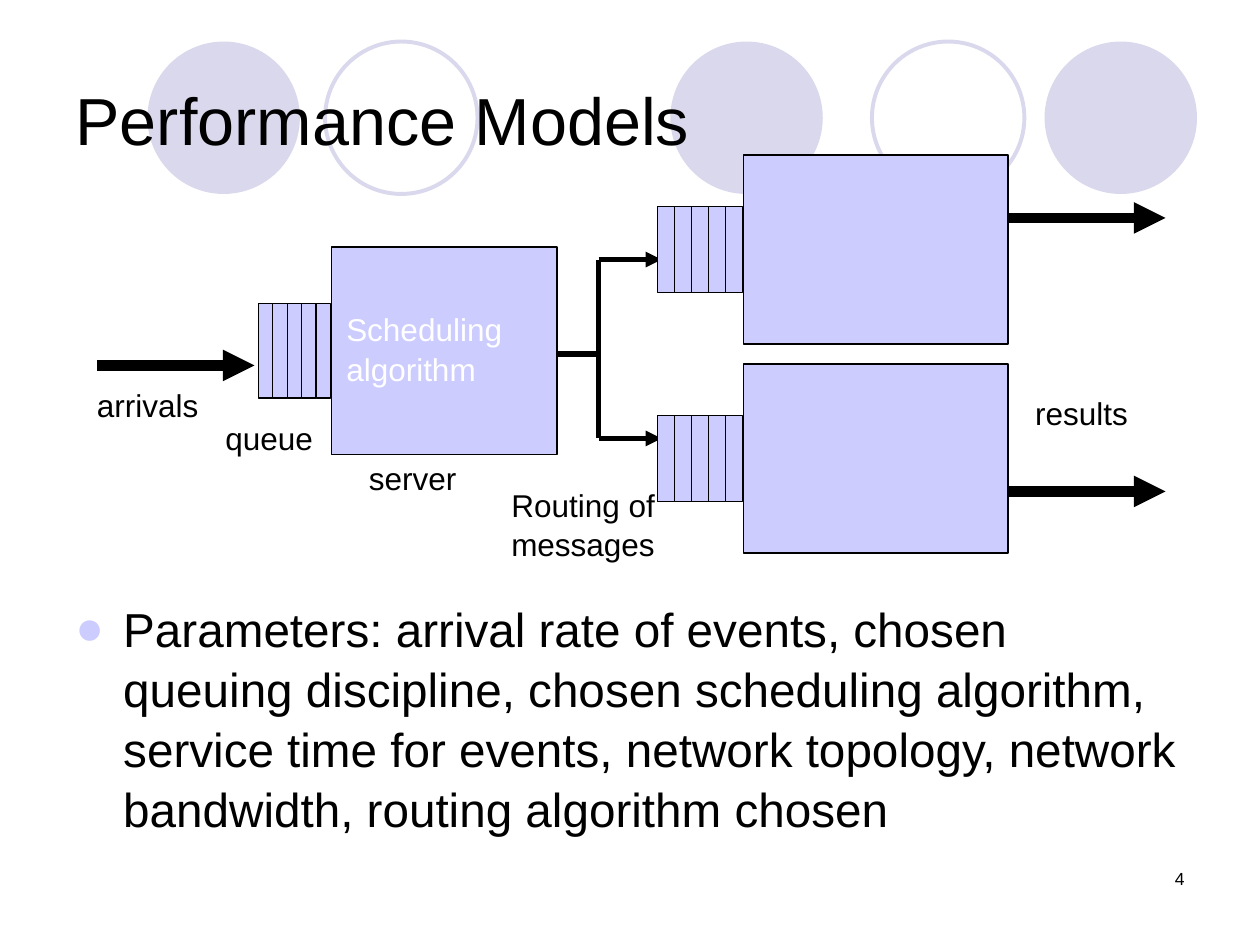
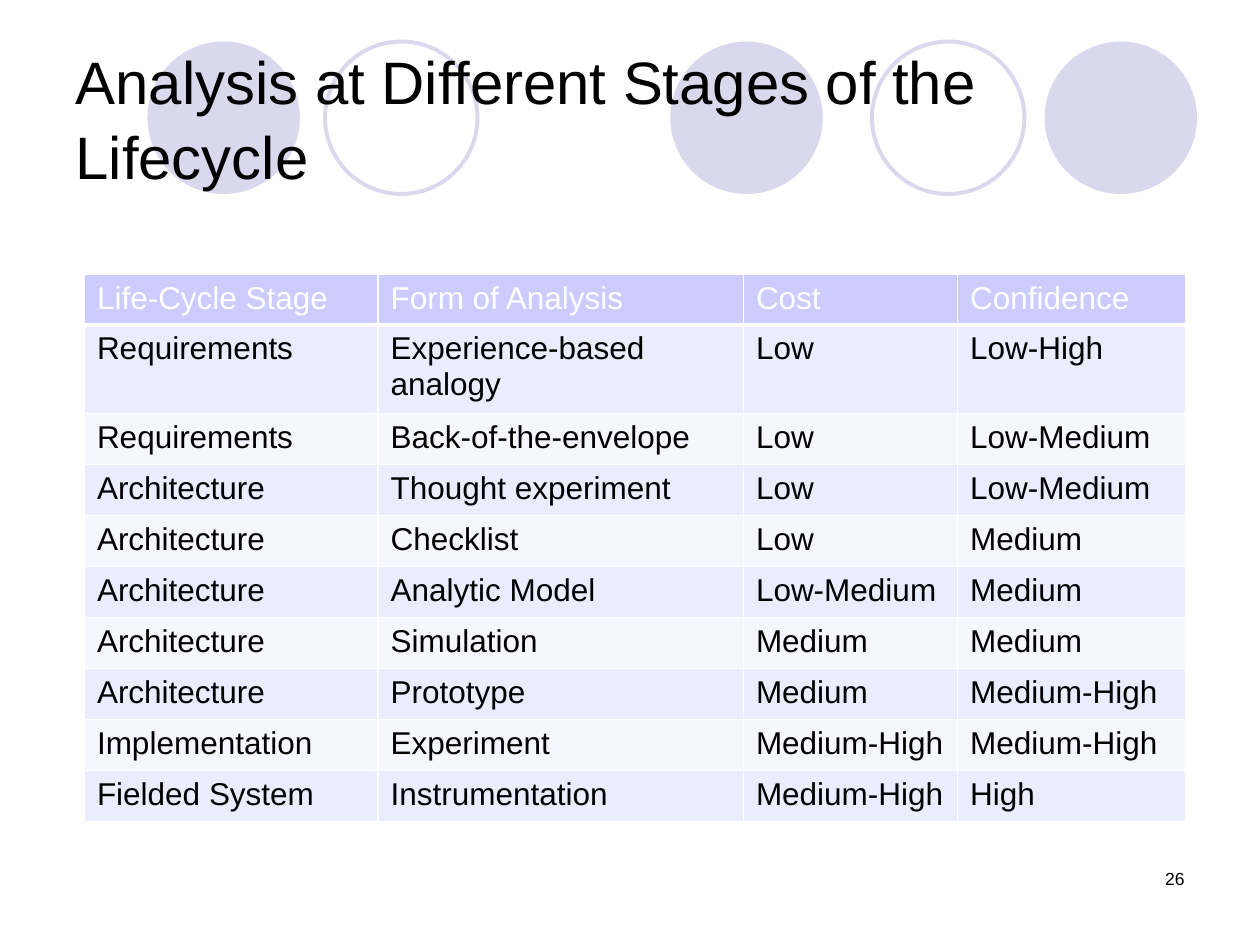
from lxml import etree
from pptx import Presentation
from pptx.dml.color import RGBColor
from pptx.enum.shapes import MSO_CONNECTOR, MSO_SHAPE
from pptx.enum.text import MSO_ANCHOR, PP_ALIGN
from pptx.oxml.ns import qn
from pptx.util import Inches, Pt

LINE, RECT, OVAL = MSO_CONNECTOR.STRAIGHT, MSO_SHAPE.RECTANGLE, MSO_SHAPE.OVAL
LEFT, RIGHT, MIDDLE = PP_ALIGN.LEFT, PP_ALIGN.RIGHT, MSO_ANCHOR.MIDDLE

FONT = "Arial"
BLACK, WHITE = "000000", "FFFFFF"
LILAC, PALE = "CCCCFF", "D9D8EC"
BANDS = ["ECECFF", "F6F6FF"]
LEADING = 1.05

RINGS = [(5.32, True), (8.29, True), (1.17, True), (6.92, False), (2.58, False)]

STAGES = [
    ("Life-Cycle Stage", "Form of Analysis", "Cost", "Confidence"),
    ("Requirements", "Experience-based analogy", "Low", "Low-High"),
    ("Requirements", "Back-of-the-envelope", "Low", "Low-Medium"),
    ("Architecture", "Thought experiment", "Low", "Low-Medium"),
    ("Architecture", "Checklist", "Low", "Medium"),
    ("Architecture", "Analytic Model", "Low-Medium", "Medium"),
    ("Architecture", "Simulation", "Medium", "Medium"),
    ("Architecture", "Prototype", "Medium", "Medium-High"),
    ("Implementation", "Experiment", "Medium-High", "Medium-High"),
    ("Fielded System", "Instrumentation", "Medium-High", "High"),
]


def paint(target, color):
    """Give a fill or a line one solid colour."""
    fill = getattr(target, "fill", target)
    fill.solid()
    fill.fore_color.rgb = RGBColor.from_string(color)


def write(frame, text, size, color=BLACK, align=LEFT, leading=LEADING):
    para = frame.paragraphs[0]
    para.alignment = align
    para.line_spacing = leading
    run = para.add_run()
    run.text = text
    run.font.name = FONT
    run.font.size = Pt(size)
    run.font.color.rgb = RGBColor.from_string(color)
    return para


def add_label(slide, box, text, size=18, color=BLACK, align=LEFT, wrap=False):
    frame = slide.shapes.add_textbox(*map(Inches, box)).text_frame
    frame.word_wrap = wrap
    return write(frame, text, size, color, align)


def add_block(slide, kind, box, fill, edge=None, width=0.75):
    shape = slide.shapes.add_shape(kind, *map(Inches, box))
    shape.shadow.inherit = False
    if fill:
        paint(shape, fill)
    else:
        shape.fill.background()
    if edge:
        paint(shape.line, edge)
        shape.line.width = Pt(width)
    else:
        shape.line.fill.background()
    return shape


def add_queue(slide, left, top, step, height):
    for n in range(5):
        box = (left + n * step, top, step, height)
        add_block(slide, RECT, box, LILAC, BLACK)


def add_line(slide, start, end, width, head=False):
    line = slide.shapes.add_connector(LINE, *map(Inches, start + end))
    paint(line.line, BLACK)
    line.line.width = Pt(width)
    if head:
        etree.SubElement(line.line._get_or_add_ln(), qn("a:tailEnd"), type="triangle")
    etree.SubElement(line.element.spPr, qn("a:effectLst"))


def add_rings(slide):
    """Put the row of circles on the slide's layout, behind its title."""
    base = slide.slide_layout.placeholders[0].element
    for n, (left, solid) in enumerate(RINGS):
        box = (left, 0.33, 1.21, 1.21)
        if solid:
            ring = add_block(slide, OVAL, box, PALE)
        else:
            ring = add_block(slide, OVAL, box, None, PALE, 2.25)
        ring.element.nvSpPr.cNvPr.set("id", str(20 + n))
        base.addprevious(ring.element)


def add_slide(deck, title, size, number):
    slide = deck.slides.add_slide(deck.slide_layouts[5])
    head = slide.shapes.title
    head.left, head.top, head.width, head.height = map(Inches, (0.5, 0.3, 9, 1.25))
    head.text_frame.vertical_anchor = MIDDLE
    head.text_frame.word_wrap = True
    write(head.text_frame, title, size)
    add_label(slide, (7.17, 6.83, 2.33, 0.5), number, 10, align=RIGHT, wrap=True)
    return slide


def add_bullet(para):
    props = para._p.get_or_add_pPr()
    props.set("marL", str(Inches(0.38)))
    props.set("indent", str(-Inches(0.38)))
    tint = etree.SubElement(props, qn("a:buClr"))
    etree.SubElement(tint, qn("a:srgbClr"), val=LILAC)
    etree.SubElement(props, qn("a:buFont"), typeface=FONT)
    etree.SubElement(props, qn("a:buChar"), char="●")


def add_edges(cell, bottom):
    props = cell._tc.get_or_add_tcPr()
    for side in "LRTB":
        width = bottom if side == "B" else 1
        edge = etree.SubElement(props, qn(f"a:ln{side}"), w=str(Pt(width)))
        fill = etree.SubElement(edge, qn("a:solidFill"))
        etree.SubElement(fill, qn("a:srgbClr"), val=WHITE)


def add_grid(slide, rows, widths, heights):
    box = map(Inches, (0.67, 2.18, sum(widths), sum(heights)))
    table = slide.shapes.add_table(len(rows), len(widths), *box).table
    for col, width in zip(table.columns, widths):
        col.width = Inches(width)
    for r, (row, height) in enumerate(zip(rows, heights)):
        table.rows[r].height = Inches(height)
        for c, text in enumerate(row):
            cell = table.cell(r, c)
            add_edges(cell, 1 if r else 3)
            paint(cell, BANDS[(r - 1) % 2] if r else LILAC)
            write(cell.text_frame, text, 18, BLACK if r else WHITE, leading=1.0)


def draw_models(deck):
    slide = add_slide(deck, "Performance Models", 38, "4")
    add_rings(slide)
    para = add_label(
        slide, (0.5, 4.69, 9, 2),
        "Parameters: arrival rate of events, chosen queuing discipline, "
        "chosen scheduling algorithm, service time for events, network topology, "
        "network bandwidth, routing algorithm chosen", 27.2, wrap=True)
    para.space_before = Pt(2)
    add_bullet(para)

    add_label(slide, (0.67, 3, 1.01, 0.4), "arrivals")
    add_line(slide, (0.77, 2.9), (2.02, 2.9), 6, True)
    add_queue(slide, 2.05, 2.41, 0.115, 0.75)
    add_label(slide, (1.69, 3.26, 0.9, 0.4), "queue")
    add_block(slide, RECT, (2.63, 1.96, 1.79, 1.65), LILAC, BLACK)
    add_label(slide, (2.83, 3.58, 0.9, 0.4), "server")
    add_label(slide, (8.11, 3.06, 0.94, 0.4), "results", align=RIGHT)
    add_label(slide, (2.65, 2.4, 1.6, 0.7), "Scheduling algorithm",
              color=WHITE, wrap=True)

    add_line(slide, (4.42, 2.81), (4.75, 2.81), 3)
    add_line(slide, (4.75, 2.06), (4.75, 3.48), 3)
    for top, inlet, outlet in [(1.23, 2.06, 1.73), (2.89, 3.48, 3.9)]:
        add_line(slide, (4.75, inlet), (5.25, inlet), 3, True)
        add_queue(slide, 5.22, top + 0.41, 0.135, 0.68)
        add_block(slide, RECT, (5.9, top, 2.1, 1.5), LILAC, BLACK)
        add_line(slide, (8, outlet), (9.25, outlet), 6, True)
    add_label(slide, (3.96, 3.79, 1.5, 0.7), "Routing of messages", wrap=True)


def draw_stages(deck):
    title = "Analysis at Different Stages of the Lifecycle"
    slide = add_slide(deck, title, 34.2, "26")
    heights = [0.37, 0.66] + [3.24 / 8] * 8
    add_grid(slide, STAGES, [2.33, 2.9, 1.7, 1.81], heights)


def main():
    deck = Presentation()
    deck.slide_width, deck.slide_height = Inches(10), Inches(7.5)
    draw_models(deck)
    draw_stages(deck)
    deck.save("out.pptx")


if __name__ == "__main__":
    main()
